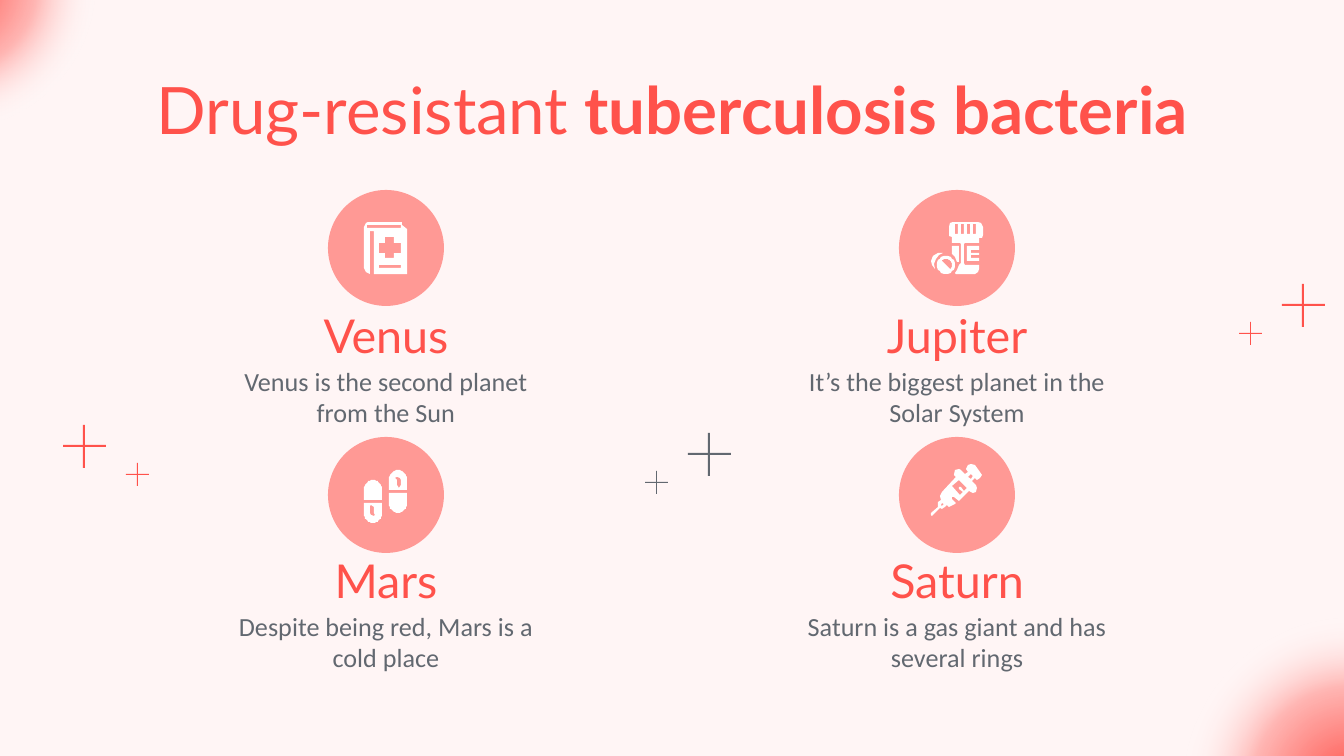
import math
from dataclasses import dataclass

import pptx
import pptx.dml.color
import pptx.enum.shapes
import pptx.enum.text
import pptx.oxml
import pptx.oxml.ns
import pptx.util

Point = tuple[int, int]
Contour = list[Point]
Piece = list[Contour]  # outline first, then its holes

EMU_PER_PX = 914400 / 134.4
SHAPES = pptx.enum.shapes.MSO_SHAPE


@dataclass(frozen=True)
class Theme:
    background: str = "FFF5F5"
    accent: str = "FF524B"
    disc: str = "FF9995"
    body: str = "626870"
    icon: str = "FFFFFF"
    heading_font: str = "Lato"
    body_font: str = "Calibri"
    title_size: int = 35
    heading_size: int = 25
    body_size: int = 14


@dataclass(frozen=True)
class Planet:
    name: str
    description: str
    left: int
    disc_top: int
    heading_top: int
    icon: list[Piece]


@dataclass(frozen=True)
class PlusPair:
    x: int
    y: int
    small_dx: int
    color: str


THEME = Theme()
DISC = 116
CARD_WIDTH = 366
HEADING_HEIGHT = 52
BODY_HEIGHT = 71


def px(length: float) -> int:
    return round(length * EMU_PER_PX)


def rgb(color: str):
    return pptx.dml.color.RGBColor.from_string(color)


def arc(x: int, y: int, radius: int, start: int, end: int) -> Contour:
    """Points along an arc, in degrees clockwise from the right."""
    angles = [math.radians(start + (end - start) * step / 24) for step in range(25)]
    return [(x + radius * math.cos(a), y + radius * math.sin(a)) for a in angles]


def box(left: int, top: int, right: int, bottom: int) -> Contour:
    return [(left, top), (right, top), (right, bottom), (left, bottom)]


def dome(left: int, top: int) -> Contour:
    """Upper half of a capsule."""
    return arc(left + 9, top + 9, 9, 180, 360) + [(left + 18, top + 20), (left, top + 20)]


def bowl(left: int, top: int) -> Contour:
    """Lower half of a capsule."""
    return [(left, top), (left + 18, top)] + arc(left + 9, top + 11, 9, 0, 180)


BOOK = [[
    [(40, 32), (74, 32), (74, 35), (79, 39), (79, 84), (46, 84), (46, 41), (42, 41),
     (42, 84), (38, 82), (36, 78), (36, 37), (38, 33)],
    box(39, 35, 73, 38),
    [(57, 47), (66, 47), (66, 53), (73, 53), (73, 63), (66, 63), (66, 68), (57, 68),
     (57, 63), (51, 63), (51, 53), (57, 53)],
    box(51, 75, 73, 78),
]]
BOTTLE = [
    [[(54, 32), (79, 32), (82, 33), (84, 37), (84, 45), (83, 48), (80, 48), (80, 53),
      (66, 53), (65, 54), (65, 73), (66, 75), (80, 75), (80, 79), (79, 82), (76, 84),
      (57, 84), (56, 83), (58, 80), (60, 75), (62, 73), (62, 54), (61, 53), (53, 53),
      (53, 47), (50, 46), (50, 37), (51, 33)]]
    + [box(left, 34, left + 3, 44) for left in range(56, 75, 6)],
    [[(68, 56), (80, 56), (80, 60), (72, 60), (72, 63), (80, 63), (80, 65), (72, 65),
      (72, 68), (80, 68), (80, 71), (68, 71)]],
    [[(53, 56), (60, 56), (60, 72), (58, 72), (56, 67), (53, 64)]],
    [[(44, 63), (39, 63), (34, 66), (32, 71), (33, 75), (36, 79), (35, 74), (37, 69),
      (40, 65)]],
    [arc(47, 75, 9, 0, 360), arc(47, 75, 6, 225, 405)],
]
CAPSULES = [
    [dome(36, 43)],
    [bowl(36, 66), [(43, 68), (46, 70), (46, 76), (47, 78), (46, 79), (43, 78), (42, 76),
                    (42, 69)]],
    [dome(61, 33), [(69, 40), (72, 41), (73, 43), (73, 48), (71, 51), (69, 48), (69, 43),
                    (67, 41)]],
    [bowl(61, 56)],
]
SYRINGE = [[
    [(72, 27), (69, 28), (67, 32), (69, 35), (66, 37), (62, 33), (60, 32), (56, 33),
     (55, 38), (57, 40), (43, 55), (41, 59), (42, 63), (39, 65), (39, 70), (32, 76),
     (32, 78), (33, 79), (34, 78), (41, 71), (43, 72), (46, 70), (48, 68), (50, 70),
     (56, 67), (57, 66), (53, 62), (53, 60), (55, 60), (60, 64), (70, 54), (74, 56),
     (77, 55), (78, 51), (77, 48), (73, 44), (76, 41), (78, 43), (81, 41), (83, 38),
     (81, 35), (76, 28)],
    [(72, 37), (74, 39), (72, 42), (69, 40)],
    [(60, 43), (68, 51), (65, 54), (62, 50), (60, 50), (60, 52), (64, 55), (61, 58),
     (53, 49)],
    [(43, 66), (45, 67), (43, 69), (42, 68)],
]]

PLANETS = [
    Planet("Venus", "Venus is the second planet from the Sun", 203, 190, 309, BOOK),
    Planet("Jupiter", "It’s the biggest planet in the Solar System", 774, 190, 309, BOTTLE),
    Planet("Mars", "Despite being red, Mars is a cold place", 203, 437, 554, CAPSULES),
    Planet("Saturn", "Saturn is a gas giant and has several rings", 774, 437, 554, SYRINGE),
]
PLUS_PAIRS = [
    PlusPair(709, 454, -53, THEME.body),
    PlusPair(1303, 305, -53, THEME.accent),
    PlusPair(84, 446, 53, THEME.accent),
]


def paint(shape, color: str) -> None:
    shape.shadow.inherit = False
    shape.line.fill.background()
    shape.fill.solid()
    shape.fill.fore_color.rgb = rgb(color)


def add_solid(slide, kind, left: int, top: int, width: int, height: int, color: str):
    shape = slide.shapes.add_shape(kind, px(left), px(top), px(width), px(height))
    paint(shape, color)
    return shape


def add_glow(slide, left: int, top: int, size: int) -> None:
    """Draw a disc that fades out from its centre."""
    shape = add_solid(slide, SHAPES.OVAL, left, top, size, size, THEME.accent)
    stops = [(0, THEME.accent, 100), (39, THEME.accent, 38), (66, "FFFFFF", 0),
             (100, "FFFFFF", 0)]
    stop_xml = "".join(
        f'<a:gs pos="{position}000"><a:srgbClr val="{color}">'
        f'<a:alpha val="{opacity}000"/></a:srgbClr></a:gs>'
        for position, color, opacity in stops)
    gradient = pptx.oxml.parse_xml(
        f'<a:gradFill {pptx.oxml.ns.nsdecls("a")}><a:gsLst>{stop_xml}</a:gsLst>'
        '<a:path path="circle"><a:fillToRect l="50000" t="50000" r="50000" b="50000"/>'
        '</a:path></a:gradFill>')
    properties = shape._element.spPr
    properties.replace(properties.find(pptx.oxml.ns.qn("a:solidFill")), gradient)


def add_text(slide, text: str, left: int, top: int, width: int, height: int, *,
             font: str, size: int, color: str, bold_text: str = "") -> None:
    text_box = slide.shapes.add_textbox(px(left), px(top), px(width), px(height))
    frame = text_box.text_frame
    frame.word_wrap = True
    frame.vertical_anchor = pptx.enum.text.MSO_ANCHOR.MIDDLE
    frame.margin_left = frame.margin_right = pptx.util.Inches(0.1)
    frame.margin_top = frame.margin_bottom = pptx.util.Inches(0.1)
    paragraph = frame.paragraphs[0]
    paragraph.alignment = pptx.enum.text.PP_ALIGN.CENTER
    for content, bold in ((text, False), (bold_text, True)):
        if content:
            run = paragraph.add_run()
            run.text = content
            run.font.name = font
            run.font.size = pptx.util.Pt(size)
            run.font.bold = bold
            run.font.color.rgb = rgb(color)


def add_piece(slide, piece: Piece, left: int, top: int) -> None:
    builder = slide.shapes.build_freeform(*piece[0][0], scale=EMU_PER_PX)
    for index, contour in enumerate(piece):
        if index:
            builder.move_to(*contour[0])
        builder.add_line_segments(contour[1:], close=True)
    paint(builder.convert_to_shape(px(left), px(top)), THEME.icon)


def add_planet(slide, planet: Planet) -> None:
    disc_left = planet.left + (CARD_WIDTH - DISC) // 2
    add_text(slide, planet.name, planet.left, planet.heading_top, CARD_WIDTH, HEADING_HEIGHT,
             font=THEME.heading_font, size=THEME.heading_size, color=THEME.accent)
    add_text(slide, planet.description, planet.left, planet.heading_top + HEADING_HEIGHT,
             CARD_WIDTH, BODY_HEIGHT,
             font=THEME.body_font, size=THEME.body_size, color=THEME.body)
    add_solid(slide, SHAPES.OVAL, disc_left, planet.disc_top, DISC, DISC, THEME.disc)
    for piece in planet.icon:
        add_piece(slide, piece, disc_left, planet.disc_top)


def add_plus_pair(slide, pair: PlusPair) -> None:
    small = (pair.x + pair.small_dx, pair.y + 28, 23, 1)
    for x, y, size, weight in ((pair.x, pair.y, 43, 2), small):
        for width, height in ((weight, size), (size, weight)):
            add_solid(slide, SHAPES.RECTANGLE, x - width // 2, y - height // 2,
                      width, height, pair.color)


def main() -> None:
    presentation = pptx.Presentation()
    presentation.slide_width, presentation.slide_height = px(1344), px(756)
    slide = presentation.slides.add_slide(presentation.slide_layouts[6])
    slide.background.fill.solid()
    slide.background.fill.fore_color.rgb = rgb(THEME.background)
    add_glow(slide, 1172, 606, 360)
    add_glow(slide, -202, -168, 308)
    add_text(slide, "Drug-resistant", 106, 66, 1133, 85, bold_text=" tuberculosis bacteria",
             font=THEME.heading_font, size=THEME.title_size, color=THEME.accent)
    for planet in PLANETS:
        add_planet(slide, planet)
    for pair in PLUS_PAIRS:
        add_plus_pair(slide, pair)
    presentation.save("out.pptx")


if __name__ == "__main__":
    main()
